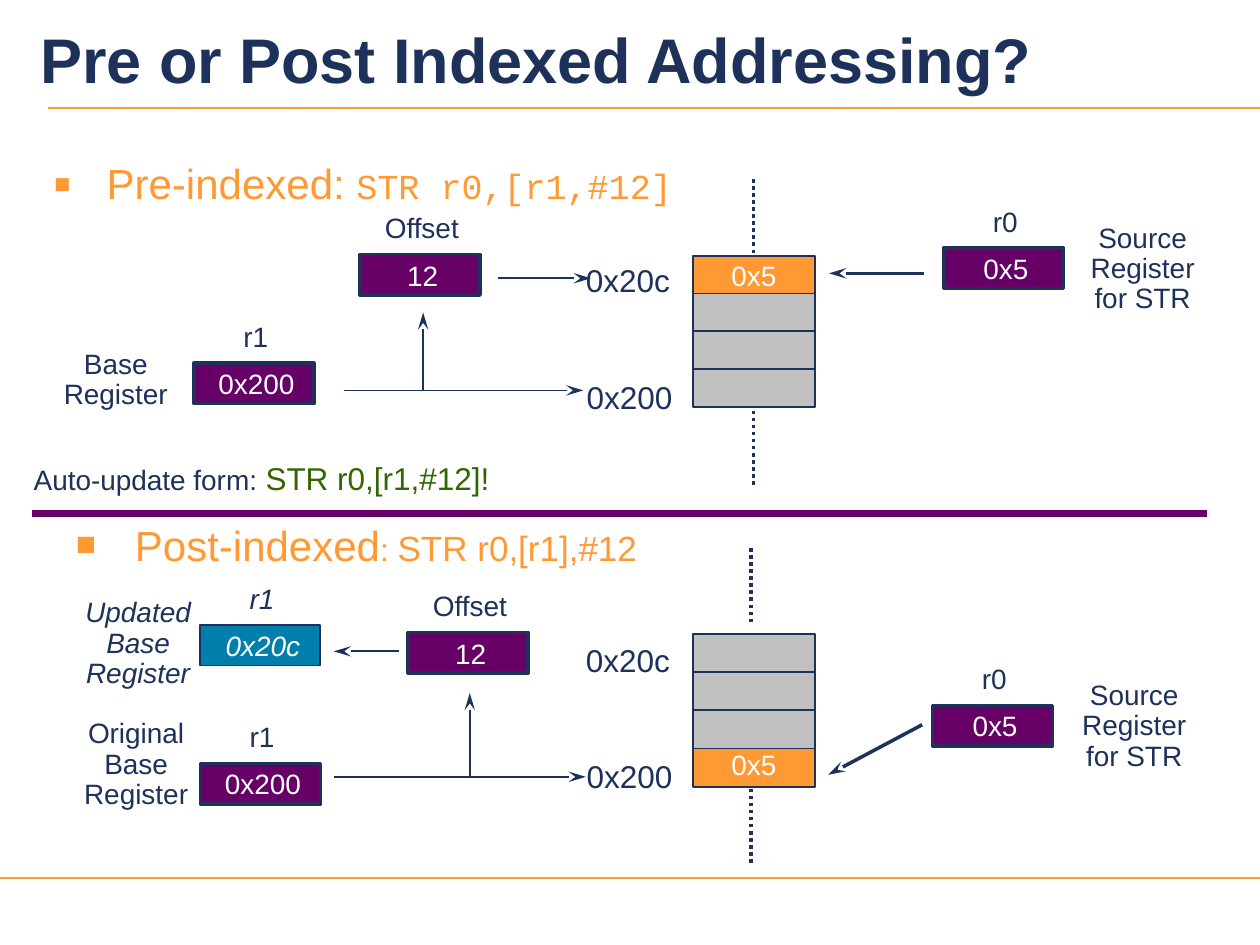
"""Build the slide that contrasts pre-indexed and post-indexed addressing."""
from lxml import etree
from pptx import Presentation
from pptx.dml.color import RGBColor
from pptx.enum import dml, shapes, text
from pptx.oxml import ns
from pptx.util import Cm, Pt

COLORS = {"navy": "1D315B", "orange": "FF9933", "purple": "660066", "teal": "007FAC",
          "grey": "C0C0C0", "green": "336600", "white": "FFFFFF"}
CELL = (2.46, 0.86)
REGISTER = (2.42, 0.82)
ROWS = 4

TITLE = [("Pre or Post Indexed Addressing?", 36, "navy", "Arial")]
PRE_HEADING = [("Pre-indexed: ", 24, "orange", "Arial"),
               ("STR r0,[r1,#12]", 20, "orange", "Courier New")]
POST_HEADING = [("Post-indexed", 24, "orange", "Arial"), (": ", 18, "orange", "Arial"),
                ("STR r0,[r1],#12", 20, "orange", "Arial")]
AUTO_UPDATE = [("Auto-update form:", 16, "navy", "Arial"),
               (" ", 19, "green", "Times New Roman"),
               ("STR r0,[r1,#12]!", 18, "green", "Arial")]

MEMORIES = [
    {"left": 13.97, "top": 5.16, "pitch": 0.76, "value": "0x5", "value_top": 5.16, "used": 0},
    {"left": 13.97, "top": 12.78, "pitch": 0.77, "value": "0x5", "value_top": 15.01, "used": 3},
]
REGISTERS = [
    ("r1", "0x200", 3.91, 7.32, "purple", 2, False),
    ("r0", "0x5", 19.02, 5, "purple", 2, False),
    ("Offset", "12", 7.26, 5.13, "purple", 2, False),
    ("r1", "0x200", 4.04, 15.39, "purple", 2, False),
    ("r0", "0x5", 18.8, 14.22, "purple", 2, False),
    ("Offset", "12", 8.23, 12.75, "purple", 2, False),
    ("r1", "0x20c", 4.04, 12.6, "teal", 1, True),
]
CAPTIONS = [
    ("Base\nRegister", 0.86, 6.93, 2.95, False),
    ("Source\nRegister\nfor STR", 21.56, 4.39, 2.95, False),
    ("Original\nBase\nRegister", 1.27, 14.38, 2.95, False),
    ("Source\nRegister\nfor STR", 21.39, 13.61, 2.95, False),
    ("Updated\nBase\nRegister", 0.97, 11.94, 3.63, True),
]
ADDRESSES = [("0x20c", 11.43, 5.21), ("0x200", 11.46, 7.57),
             ("0x20c", 11.43, 12.88), ("0x200", 11.46, 15.21)]
ARROWS = [
    ((6.93, 7.87), (11.76, 7.87), 1), ((8.53, 7.87), (8.53, 6.3), 1),
    ((10.03, 5.61), (11.91, 5.61), 1), ((18.62, 5.51), (16.71, 5.51), 2),
    ((6.73, 15.66), (11.81, 15.66), 1), ((9.47, 15.66), (9.47, 13.97), 1),
    ((8.05, 13.13), (6.73, 13.13), 1), ((18.59, 14.61), (16.69, 15.62), 2),
]
DOTTED = [(15.19, 3.61), (15.19, 8.28), (15.14, 11.05), (15.14, 15.9)]
DOTTED_LENGTH = 1.5
RULES = [((0.97, 2.18), (25.4, 2.18), "orange", 1),
         ((0, 17.7), (25.4, 17.7), "orange", 1.5),
         ((0.64, 10.36), (24.33, 10.36), "purple", 4)]


def color(name):
    return RGBColor.from_string(COLORS[name])


def add_child(parent, tag, **attributes):
    return etree.SubElement(parent, ns.qn(tag), attributes)


def write(box, spans, align="CENTER", spacing=0.9, bold=None, italic=None, insets=(0.25, 0.13)):
    frame = box.text_frame
    frame.word_wrap = True
    frame.auto_size = text.MSO_AUTO_SIZE.NONE
    frame.margin_left = frame.margin_right = Cm(insets[0])
    frame.margin_top = frame.margin_bottom = Cm(insets[1])
    para = frame.paragraphs[0]
    para.alignment = text.PP_ALIGN[align]
    para.line_spacing = spacing
    para.space_before = Pt(0)
    for content, size, tint, font in spans:
        for index, line in enumerate(content.split("\n")):
            if index:
                para.add_line_break()
            span = para.add_run()
            span.text = line
            span.font.size = Pt(size)
            span.font.name = font
            span.font.bold = bold
            span.font.italic = italic
            span.font.color.rgb = color(tint)
    return para


def add_bullet(para, char, percent, indent):
    props = para._p.get_or_add_pPr()
    props.set("marL", str(Cm(indent)))
    props.set("indent", str(-Cm(indent)))
    add_child(add_child(props, "a:buClr"), "a:srgbClr", val=COLORS["orange"])
    add_child(props, "a:buSzPct", val=str(percent * 1000))
    add_child(props, "a:buFont", typeface="Arial")
    add_child(props, "a:buChar", char=char)


def place(box, left, top, width, height):
    box.left, box.top, box.width, box.height = (Cm(v) for v in (left, top, width, height))
    return box


def add_label(page, content, left, top, width, height, size=16, tint="navy", italic=None):
    box = page.shapes.add_textbox(Cm(left), Cm(top), Cm(width), Cm(height))
    write(box, [(content, size, tint, "Arial")], italic=italic)


def add_rect(page, left, top, width, height, fill=None, weight=None):
    box = page.shapes.add_shape(shapes.MSO_SHAPE.RECTANGLE,
                                Cm(left), Cm(top), Cm(width), Cm(height))
    box.shadow.inherit = False
    if fill:
        box.fill.solid()
        box.fill.fore_color.rgb = color(fill)
    else:
        box.fill.background()
    if weight:
        box.line.color.rgb = color("navy")
        box.line.width = Pt(weight)
    else:
        box.line.fill.background()
    return box


def add_line(page, start, end, tint="navy", weight=1, dotted=False, arrow=False):
    line = page.shapes.add_connector(shapes.MSO_CONNECTOR.STRAIGHT,
                                     *(Cm(v) for v in start + end))
    line.line.color.rgb = color(tint)
    line.line.width = Pt(weight)
    if dotted:
        line.line.dash_style = dml.MSO_LINE.ROUND_DOT
    if arrow:
        add_child(line.line._get_or_add_ln(), "a:tailEnd", type="stealth", w="med", len="lg")
    add_child(line._element.spPr, "a:effectLst")


def add_memory(page, memory):
    value = add_rect(page, memory["left"], memory["value_top"], *CELL, fill="orange")
    write(value, [(memory["value"], 16, "white", "Arial")])
    value.text_frame.vertical_anchor = text.MSO_ANCHOR.TOP
    for row in range(ROWS):
        fill = None if row == memory["used"] else "grey"
        top = memory["top"] + row * memory["pitch"]
        add_rect(page, memory["left"], top, CELL[0], memory["pitch"], fill, 1)


def add_register(page, name, value, left, top, fill, weight, italic):
    add_rect(page, left, top, *REGISTER, fill=fill, weight=weight)
    add_label(page, name, left - 0.23, top - 0.93, 2.95, 0.86, italic=italic)
    add_label(page, value, left + 0.03, top + 0.02, *CELL, tint="white", italic=italic)


def main():
    deck = Presentation()
    deck.slide_width, deck.slide_height = Cm(25.4), Cm(19.05)
    page = deck.slides.add_slide(deck.slide_layouts[1])

    title = place(page.shapes.title, 0.58, 0, 24.82, 2.34)
    write(title, TITLE, "LEFT", 1, bold=True, insets=(0.23, 0.1))
    title.text_frame.vertical_anchor = text.MSO_ANCHOR.MIDDLE
    body = place(page.placeholders[1], 0.84, 3.18, 14.07, 1.09)
    add_bullet(write(body, PRE_HEADING, "LEFT", insets=(0.23, 0.1)), "▪", 125, 1.08)

    for start, end, tint, weight in RULES:
        add_line(page, start, end, tint, weight)
    for memory in MEMORIES:
        add_memory(page, memory)
    for register in REGISTERS:
        add_register(page, *register)
    for content, left, top, width, italic in CAPTIONS:
        height = 0.25 + 0.61 * len(content.split("\n"))
        add_label(page, content, left, top, width, height, italic=italic)
    for content, left, top in ADDRESSES:
        add_label(page, content, left, top, 2.46, 0.79, size=18)
    for start, end, weight in ARROWS:
        add_line(page, start, end, weight=weight, arrow=True)
    for left, top in DOTTED:
        add_line(page, (left, top), (left, top + DOTTED_LENGTH), weight=2, dotted=True)

    update = page.shapes.add_textbox(Cm(0.43), Cm(9.17), Cm(11.68), Cm(0.99))
    write(update, AUTO_UPDATE, "LEFT")
    heading = page.shapes.add_textbox(Cm(0.84), Cm(10.54), Cm(12.7), Cm(1.09))
    add_bullet(write(heading, POST_HEADING, spacing=0.8), "■", 80, 1.19)
    deck.save("out.pptx")


if __name__ == "__main__":
    main()
